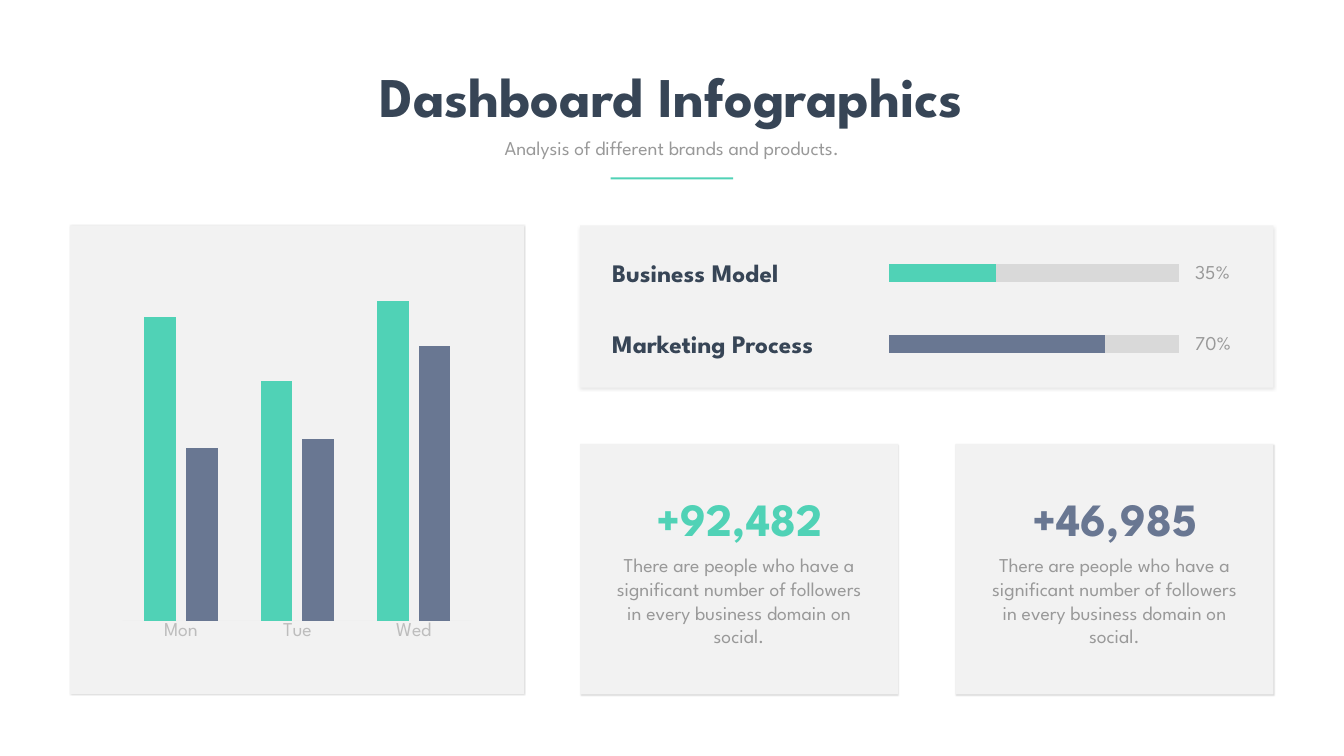
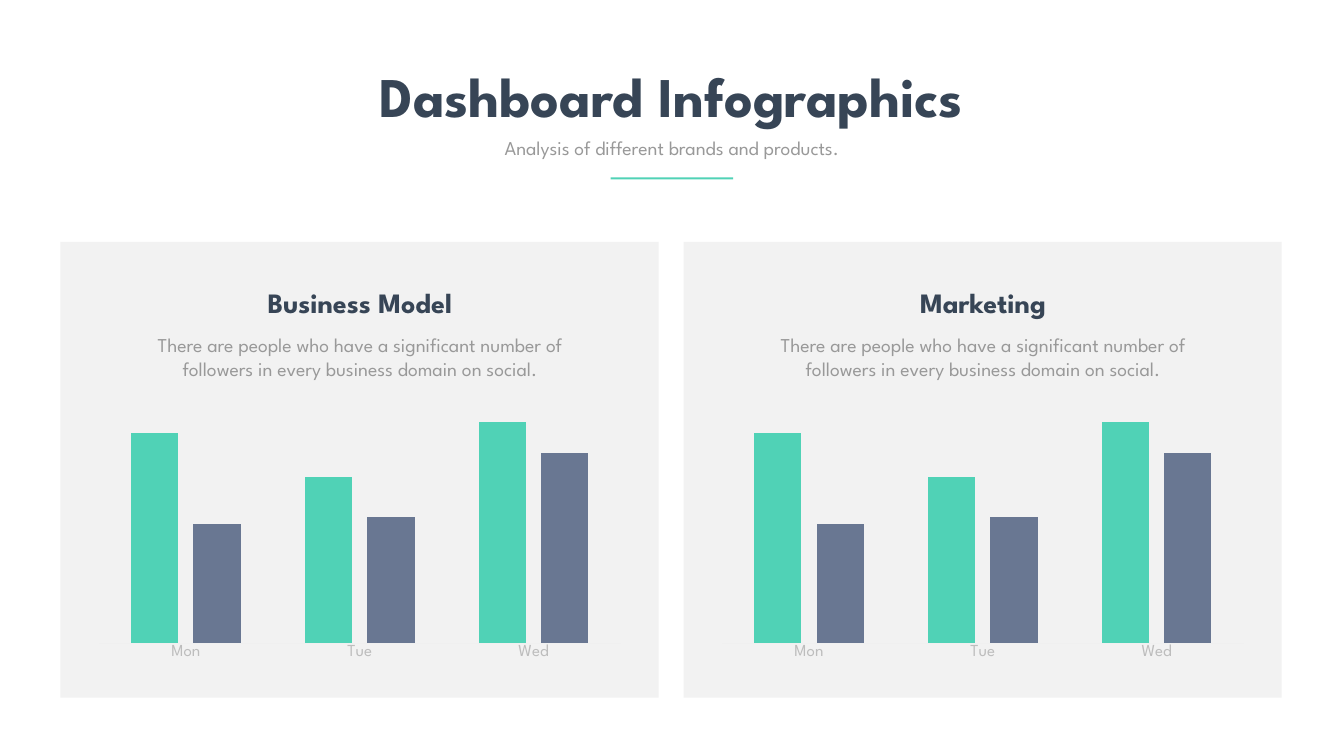
from dataclasses import dataclass

from pptx import Presentation
from pptx.chart.data import CategoryChartData
from pptx.dml.color import RGBColor
from pptx.enum.chart import XL_CHART_TYPE, XL_TICK_LABEL_POSITION, XL_TICK_MARK
from pptx.enum.shapes import MSO_CONNECTOR, MSO_SHAPE
from pptx.enum.text import MSO_AUTO_SIZE, PP_ALIGN
from pptx.oxml.ns import qn
from pptx.oxml.xmlchemy import OxmlElement
from pptx.util import Inches, Pt


@dataclass(frozen=True)
class Theme:
    # Colours
    ink: str = "374556"
    grey: str = "999999"
    pale: str = "BDBDBD"
    card: str = "F2F2F2"
    track: str = "D9D9D9"
    axis: str = "F0F0F0"
    mint: str = "50D2B6"
    slate: str = "697792"
    shade: str = "000104"
    # Type
    font: str = "League Spartan"
    title: int = 80
    figure: int = 66
    head: int = 40
    label: int = 36
    body: int = 28
    small: int = 24


THEME = Theme()
BLURB = ("There are people who have a significant number of followers "
         "in every business domain on social.")
DAYS = ("Mon", "Tue", "Wed")
SERIES = (("Series 1", (95, 75, 100), THEME.mint),
          ("Series 2", (54, 57, 86), THEME.slate))


def rgb(code):
    return RGBColor.from_string(code)


def style(font, size, color, bold=False):
    font.name = THEME.font
    font.size = Pt(size)
    font.bold = bold
    font.color.rgb = rgb(color)


def write(box, text, *, size=THEME.body, color=THEME.grey, bold=False,
          align=PP_ALIGN.CENTER, wrap=True):
    frame = box.text_frame
    frame.word_wrap = wrap
    frame.auto_size = MSO_AUTO_SIZE.SHAPE_TO_FIT_TEXT
    para = frame.paragraphs[0]
    para.alignment = align
    run = para.add_run()
    run.text = text
    style(run.font, size, color, bold)


def node(tag, **attrs):
    item = OxmlElement(tag)
    for key, value in attrs.items():
        item.set(key, str(value))
    return item


class Deck:
    """Draws on a grid of 100 columns by 100 rows."""

    def __init__(self):
        self.prs = Presentation()
        self.prs.slide_width = Inches(26.67)
        self.prs.slide_height = Inches(15)
        self.slide = None

    def place(self, x, y, w, h):
        col = self.prs.slide_width / 100
        row = self.prs.slide_height / 100
        return [round(n) for n in (x * col, y * row, w * col, h * row)]

    def page(self):
        self.slide = self.prs.slides.add_slide(self.prs.slide_layouts[6])
        self.text((25.08, 7.8, 49.76, 9.67), "Dashboard Infographics",
                  size=THEME.title, color=THEME.ink, bold=True, wrap=False)
        self.text((32.06, 17.67, 35.85, 3.8),
                  "Analysis of different brands and products.")
        self.block((45.44, 23.47, 9.11, 0.27), THEME.mint)

    def text(self, area, words, **look):
        write(self.slide.shapes.add_textbox(*self.place(*area)), words, **look)

    def block(self, area, color, kind=MSO_SHAPE.RECTANGLE):
        shape = self.slide.shapes.add_shape(kind, *self.place(*area))
        shape.shadow.inherit = False
        shape.fill.solid()
        shape.fill.fore_color.rgb = rgb(color)
        shape.line.fill.background()
        return shape

    def card(self, area, shade=None):
        shape = self.block(area, THEME.card, MSO_SHAPE.ROUNDED_RECTANGLE)
        shape.adjustments[0] = 0
        if shade:
            self.shade(shape, *shade)

    def shade(self, shape, alpha, blur, angle):
        outer = node("a:outerShdw", blurRad=Pt(blur), dist=Pt(1),
                     dir=angle * 60000, algn="t", rotWithShape=0)
        tint = node("a:srgbClr", val=THEME.shade)
        tint.append(node("a:alpha", val=alpha * 1000))
        outer.append(tint)
        shape.element.spPr.find(qn("a:effectLst")).append(outer)

    def bar(self, x, y, w, color):
        left, top, width, _ = self.place(x, y, w, 0)
        line = self.slide.shapes.add_connector(
            MSO_CONNECTOR.STRAIGHT, left, top, left + width, top)
        line.line.color.rgb = rgb(color)
        line.line.width = Pt(25)
        props = line.element.spPr
        props.find(qn("a:ln")).set("cap", "sq")
        props.append(node("a:effectLst"))

    def chart(self, area, size):
        data = CategoryChartData()
        data.categories = DAYS
        for name, values, _ in SERIES:
            data.add_series(name, values)
        chart = self.slide.shapes.add_chart(
            XL_CHART_TYPE.COLUMN_CLUSTERED, *self.place(*area), data).chart
        chart.has_legend = False
        chart.has_title = False
        style(chart.font, size, THEME.grey)

        plot = chart.plots[0]
        plot.vary_by_categories = False
        plot.gap_width = 136
        plot.overlap = -32
        for series, (_, _, color) in zip(plot.series, SERIES):
            series.format.fill.solid()
            series.format.fill.fore_color.rgb = rgb(color)

        days = chart.category_axis
        days.major_tick_mark = days.minor_tick_mark = XL_TICK_MARK.NONE
        days.tick_label_position = XL_TICK_LABEL_POSITION.NEXT_TO_AXIS
        days.format.line.color.rgb = rgb(THEME.axis)
        days.format.line.width = Pt(0.75)
        style(days.tick_labels.font, size, THEME.pale)

        scale = chart.value_axis
        scale.minimum_scale, scale.maximum_scale = 0, 107
        scale.has_major_gridlines = False
        scale.visible = False


def stats(deck):
    deck.page()
    side = (15, 2, 45)

    # Daily columns
    deck.card((5.21, 29.8, 33.78, 62), side)
    deck.chart((8.59, 35.93, 27.07, 49.8), THEME.body)

    # Progress bars
    deck.card((43.16, 29.8, 51.59, 21.47), (10, 4, 90))
    goals = (("Business Model", "35%", 6.64, THEME.mint),
             ("Marketing Process", "70%", 14.74, THEME.slate))
    for i, (name, share, done, color) in enumerate(goals):
        y = 36.13 + 9.4 * i
        deck.bar(66.82, y, 20.25, THEME.track)
        deck.bar(66.82, y, done, color)
        deck.text((45.18, y - 2.4, 18.41, 4.73), name, size=THEME.label,
                  color=THEME.ink, bold=True, align=PP_ALIGN.LEFT)
        deck.text((88.56, y - 2.06, 4.16, 3.8), share, align=PP_ALIGN.LEFT)

    # Follower counts
    counts = (("+92,482", THEME.mint), ("+46,985", THEME.slate))
    for i, (count, color) in enumerate(counts):
        x = 43.16 + 27.93 * i
        deck.card((x, 58.73, 23.66, 33.13), side)
        deck.text((x + 2.02, 64.47, 19.65, 8.07), count,
                  size=THEME.figure, color=color, bold=True)
        deck.text((x + 2.02, 72.87, 19.61, 13.27), BLURB)


def pair(deck):
    deck.page()

    # Twin panels
    for i, name in enumerate(("Business Model", "Marketing")):
        x = 4.5 + 46.36 * i
        deck.card((x, 32, 44.51, 60.27))
        deck.chart((x + 2.06, 53.07, 40.42, 35), THEME.small)
        deck.text((x + 4.09, 43.73, 36.37, 6.93), BLURB)
        deck.text((x + 7.84, 37.4, 28.87, 5.13), name,
                  size=THEME.head, color=THEME.ink, bold=True)


def main():
    deck = Deck()
    stats(deck)
    pair(deck)
    deck.prs.save("out.pptx")


if __name__ == "__main__":
    main()
